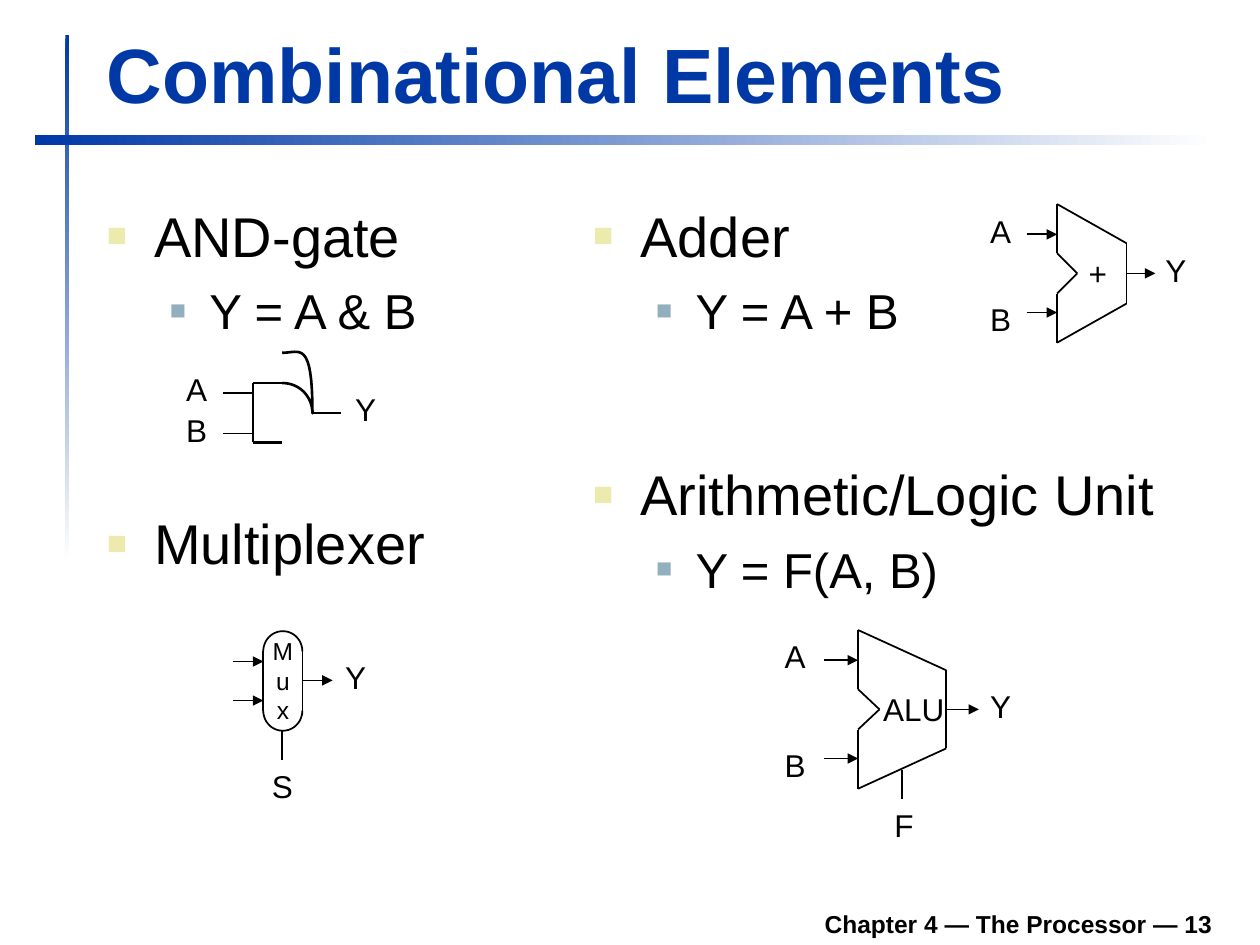
from lxml.etree import SubElement
from pptx import Presentation
from pptx.dml.color import RGBColor
from pptx.enum.shapes import MSO_CONNECTOR, MSO_SHAPE
from pptx.enum.text import MSO_ANCHOR, MSO_AUTO_SIZE, PP_ALIGN
from pptx.oxml.ns import qn
from pptx.util import Inches, Pt


def colour(hex_text):
    return RGBColor.from_string(hex_text)


def bezier(start, first, second, end, steps=16):
    weights = [((1 - t) ** 3, 3 * t * (1 - t) ** 2, 3 * t * t * (1 - t), t ** 3)
               for t in (step / steps for step in range(steps + 1))]
    return [tuple(sum(weight * point[axis] for weight, point in
                      zip(row, (start, first, second, end))) for axis in (0, 1))
            for row in weights]


class Sketch:
    """Holds the slide style and draws each kind of element on the current page."""

    font, ink, blue = "Arial", "000000", "0039A6"
    levels = [(32, 27, 27, "ECEAAC", 60), (28, 58.5, 22.5, "91AFBF", 55)]

    def __init__(self, page):
        self.page = page
        self.shapes = page.shapes

    def start_group(self):
        self.shapes = self.page.shapes.add_group_shape().shapes

    def span(self, para, text, size, ink=None, bold=False):
        span = para.add_run()
        span.text = text
        span.font.name, span.font.size, span.font.bold = self.font, Pt(size), bold
        span.font.color.rgb = colour(ink or self.ink)

    def bar(self, left, top, width, height, angle):
        bar = self.shapes.add_shape(MSO_SHAPE.RECTANGLE, Inches(left), Inches(top),
                                    Inches(width), Inches(height))
        bar.shadow.inherit = False
        bar.line.fill.background()
        bar.fill.gradient()
        bar.fill.gradient_angle = angle
        for stop, position, shade in zip(bar.fill.gradient_stops, (0, 1), (self.blue, "FFFFFF")):
            stop.position = position
            stop.color.rgb = colour(shade)

    def box(self, left, top, width, height, wrap=True, anchor=MSO_ANCHOR.TOP):
        box = self.shapes.add_textbox(Inches(left), Inches(top), Inches(width), Inches(height))
        box.text_frame.word_wrap = wrap
        box.text_frame.vertical_anchor = anchor
        return box.text_frame

    def line_of_text(self, text, size, place, ink=None, align=PP_ALIGN.LEFT):
        para = self.box(*place, anchor=MSO_ANCHOR.BOTTOM).paragraphs[0]
        para.alignment = align
        self.span(para, text, size, ink, bold=True)

    def label(self, text, left, top, width=0.36, height=0.4, margin=True):
        frame = self.box(left, top, width, height, wrap=False)
        frame.auto_size = MSO_AUTO_SIZE.SHAPE_TO_FIT_TEXT
        if not margin:
            self.clear_margins(frame)
        self.span(frame.paragraphs[0], text, 18)

    def clear_margins(self, frame):
        frame.margin_left = frame.margin_right = frame.margin_top = frame.margin_bottom = 0

    def stacked(self, letters, left, top, width, height):
        frame = self.box(left, top, width, height)
        self.clear_margins(frame)
        frame.margin_top = Inches(0.04)
        para = frame.paragraphs[0]
        para.alignment = PP_ALIGN.CENTER
        for index, letter in enumerate(letters):
            if index:
                para.add_line_break()
            self.span(para, letter, 14)

    def bullets(self, texts, left, top, width):
        frame = self.box(left, top, width, 1.42)
        for level, text in enumerate(texts):
            size, indent, hanging, shade, percent = self.levels[level]
            para = frame.add_paragraph() if level else frame.paragraphs[0]
            para.level = level
            props = para._p.get_or_add_pPr()
            props.set("marL", str(Pt(indent)))
            props.set("indent", str(-Pt(hanging)))
            SubElement(SubElement(props, qn("a:buClr")), qn("a:srgbClr"), val=shade)
            SubElement(props, qn("a:buSzPct"), val=str(percent * 1000))
            SubElement(props, qn("a:buFont"), typeface=self.font)
            SubElement(props, qn("a:buChar"), char="■")
            if level:
                para.space_before = Pt(7)
            self.span(para, text, size)

    def wire(self, start, end, arrow=False, weight=1):
        wire = self.shapes.add_connector(MSO_CONNECTOR.STRAIGHT,
                                         *map(Inches, (*start, *end)))
        wire.line.width = Pt(weight)
        wire.line.color.rgb = colour(self.ink)
        if arrow:
            SubElement(wire.line._get_or_add_ln(), qn("a:tailEnd"), type="triangle")
        SubElement(wire._element.spPr, qn("a:effectLst"))

    def curve(self, points, weight=1):
        start, *rest = [(Inches(x), Inches(y)) for x, y in points]
        builder = self.shapes.build_freeform(*start)
        builder.add_line_segments(rest, close=False)
        shape = builder.convert_to_shape()
        shape.shadow.inherit = False
        shape.fill.background()
        shape.line.width = Pt(weight)
        shape.line.color.rgb = colour(self.ink)

    def capsule(self, left, right, top, bottom, radius):
        middle, bend = (left + right) / 2, radius * 0.55
        for side, sign in ((left, -1), (right, 1)):
            for end, inward in ((top, 1), (bottom, -1)):
                corner = end + inward * radius
                self.curve(bezier((middle, end), (middle + sign * bend, end),
                                  (side, corner - inward * bend), (side, corner)))
            self.wire((side, top + radius), (side, bottom - radius))

    def arithmetic_block(self, left, right, middle, half, right_half, notch, reach, port, lead):
        corners = [(left, middle - half), (right, middle - right_half),
                   (right, middle + right_half), (left, middle + half),
                   (left, middle + 0.16), (left + notch, middle), (left, middle - 0.16)]
        for start, end in zip(corners, corners[1:] + corners[:1]):
            self.wire(start, end)
        for y in (middle - port, middle + port):
            self.wire((left - lead, y), (left, y), arrow=True)
        self.wire((right, middle), (right + reach, middle), arrow=True)


def main():
    deck = Presentation()
    deck.slide_width, deck.slide_height = Inches(10), Inches(7.5)
    sketch = Sketch(deck.slides.add_slide(deck.slide_layouts[6]))

    sketch.bar(0.52, 0.28, 0.03, 4.17, 270)
    sketch.bar(0.28, 1.07, 9.37, 0.08, 0)
    sketch.line_of_text("Chapter 4 — The Processor — 13", 14, (1.77, 7.11, 7.95, 0.39),
                        align=PP_ALIGN.RIGHT)
    sketch.line_of_text("Combinational Elements", 44, (0.75, 0.16, 9.03, 0.83), sketch.blue)
    sketch.bullets(["AND-gate", "Y = A & B"], 0.75, 1.55, 3.39)
    sketch.bullets(["Multiplexer"], 0.75, 3.99, 3.54)
    sketch.bullets(["Adder", "Y = A + B"], 4.61, 1.55, 3.39)
    sketch.bullets(["Arithmetic/Logic Unit", "Y = F(A, B)"], 4.61, 3.6, 4.72)

    sketch.start_group()
    tip = (2.48, 3.28)
    sketch.curve(bezier((2.24, 3.04), (2.38, 3.04), (2.48, 3.15), tip)
                 + bezier(tip, (2.48, 2.69), (2.38, 2.8), (2.24, 2.8))[1:], 1.5)
    for y in (3.04, 3.51):
        sketch.wire((2.01, y), (2.24, y), weight=1.5)
    sketch.wire((2.01, 3.04), (2.01, 3.51))
    for name, y in (("A", 3.12), ("B", 3.44)):
        sketch.wire((1.77, y), (2.01, y))
        sketch.label(name, 1.38, y - 0.23)
    sketch.wire(tip, (2.71, 3.28))
    sketch.label("Y", 2.72, 3.05)

    sketch.start_group()
    sketch.capsule(2.09, 2.4, 5.01, 5.8, 0.16)
    sketch.stacked("Mux", 2.09, 5.01, 0.31, 0.74)
    for y in (5.25, 5.56):
        sketch.wire((1.85, y), (2.09, y), arrow=True)
    sketch.wire((2.4, 5.4), (2.64, 5.4), arrow=True)
    sketch.wire((2.24, 6.03), (2.24, 5.8))
    sketch.label("Y", 2.64, 5.17)
    sketch.label("S", 2.06, 6.04)

    sketch.start_group()
    sketch.arithmetic_block(8.39, 8.94, 2.17, 0.55, 0.24, 0.16, 0.23, 0.31, 0.24)
    for name, left, top in (("A", 7.76, 1.63), ("B", 7.76, 2.33), ("Y", 9.15, 1.94)):
        sketch.label(name, left, top)
    sketch.label("+", 8.64, 2.02, 0.15, 0.3, margin=False)

    sketch.start_group()
    sketch.arithmetic_block(6.81, 7.51, 5.63, 0.63, 0.31, 0.17, 0.26, 0.39, 0.27)
    sketch.wire((7.16, 6.11), (7.16, 6.34))
    for name, left, top in (("A", 6.13, 5.01), ("B", 6.13, 5.87), ("Y", 7.76, 5.4), ("F", 7, 6.35)):
        sketch.label(name, left, top)
    sketch.label("ALU", 7.01, 5.48, 0.49, 0.3, margin=False)

    deck.save("out.pptx")


if __name__ == "__main__":
    main()
